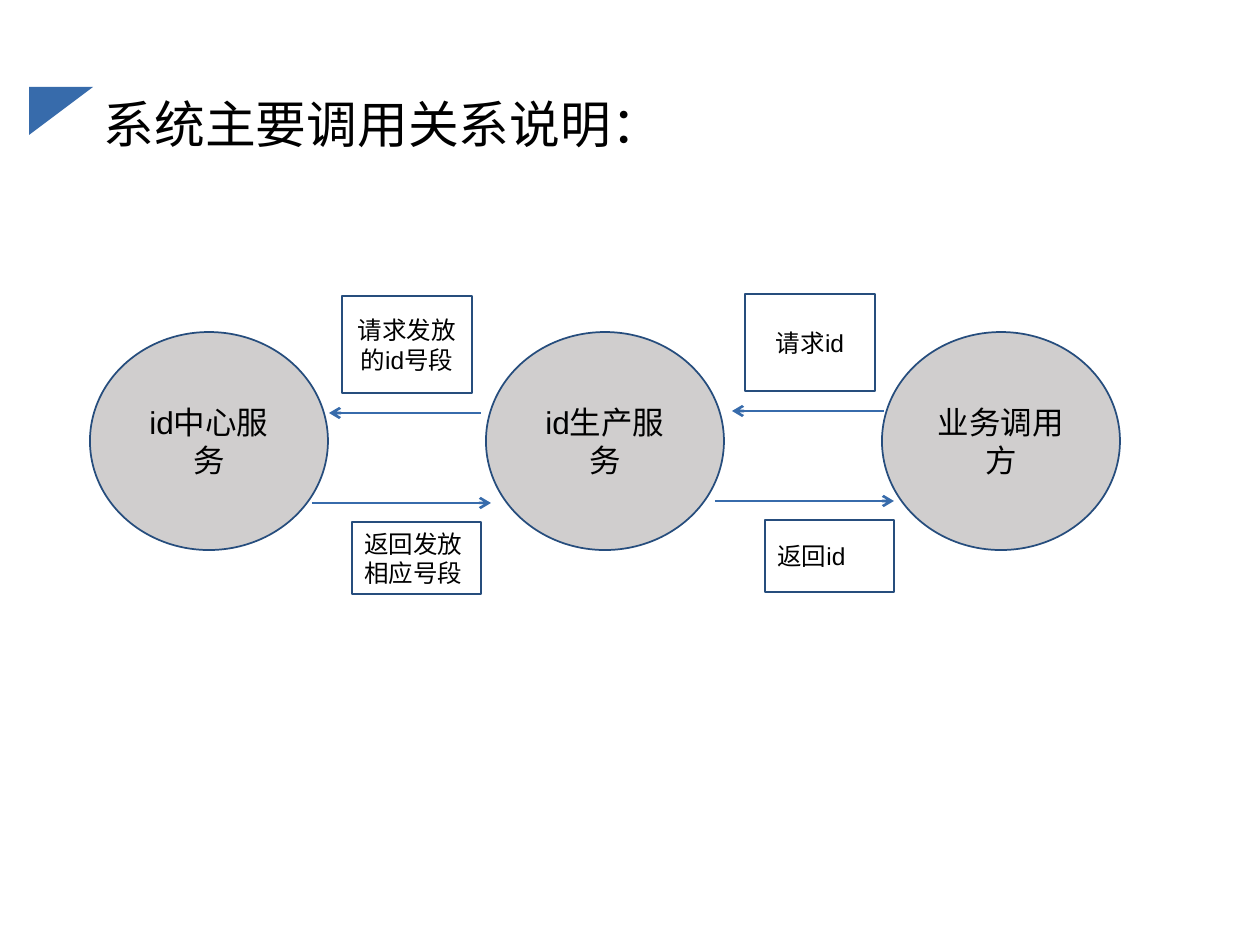
import pptx
import pptx.util
import pptx.dml.color
import pptx.enum.shapes
import pptx.enum.text
import pptx.oxml
import pptx.oxml.ns

PX = 914400 / 126
SHAPE = pptx.enum.shapes.MSO_SHAPE
ALIGN = pptx.enum.text.PP_ALIGN

THEME = {
    "accent": "376BAB", "outline": "264D7D", "node": "D0CECE",
    "box": "FFFFFF", "text": "000000",
    "latin": "Arial", "cjk": "Noto Sans CJK SC",
    "title_size": 29, "node_size": 18, "label_size": 14,
    "outline_width": 1, "arrow_width": 1.5,
}

TITLE = "系统主要调用关系说明："
TITLE_BOX = (91, 66, 791, 103)
CORNER_BOX = (37, 79, 48, 64)

NODES = ["id中心服务", "id生产服务", "业务调用方"]
NODE_LEFT, NODE_TOP, NODE_W, NODE_H = 90, 332, 238, 218
NODE_STEP = 396

# One entry per pair of neighbouring nodes: label text and label left/top.
CALLS = [
    {"request": ("请求发放的id号段", 342, 296), "reply": ("返回发放相应号段", 352, 522)},
    {"request": ("请求id", 745, 294), "reply": ("返回id", 765, 520)},
]
CALL_STEP, CALL_RISE = 403, -2
# Kind of call: arrow start x, end x and y for the first pair; label size and alignment.
KINDS = {
    "request": ((481, 329, 413), (130, 97), ALIGN.CENTER),
    "reply": ((312, 491, 503), (129, 72), ALIGN.LEFT),
}


def px(*values):
    """Turn pixels into EMU."""
    return [pptx.util.Emu(round(v * PX)) for v in values]


def rgb(name):
    """Return a theme colour."""
    return pptx.dml.color.RGBColor.from_string(THEME[name])


def set_text(tf, text, size, align, latin="latin"):
    """Write one formatted paragraph, centred vertically."""
    tf.word_wrap = True
    tf.auto_size = pptx.enum.text.MSO_AUTO_SIZE.NONE
    tf.vertical_anchor = pptx.enum.text.MSO_ANCHOR.MIDDLE
    p = tf.paragraphs[0]
    p.text = text
    p.alignment = align
    p.font.size = pptx.util.Pt(THEME[size])
    p.font.name = THEME[latin]
    p.font.color.rgb = rgb("text")
    props = p._p.get_or_add_pPr().find(pptx.oxml.ns.qn("a:defRPr"))
    ea = pptx.oxml.parse_xml("<a:ea %s/>" % pptx.oxml.ns.nsdecls("a"))
    ea.set("typeface", THEME["cjk"])
    props.append(ea)
    return p


def add_shape(slide, kind, box, fill, outline=None):
    """Add a flat preset shape."""
    sp = slide.shapes.add_shape(kind, *px(*box))
    sp.shadow.inherit = False
    sp.fill.solid()
    sp.fill.fore_color.rgb = rgb(fill)
    if outline:
        sp.line.color.rgb = rgb(outline)
        sp.line.width = pptx.util.Pt(THEME["outline_width"])
    else:
        sp.line.fill.background()
    return sp


def add_arrow(slide, start, end, y):
    """Add a horizontal arrow with an open head."""
    line = slide.shapes.add_connector(
        pptx.enum.shapes.MSO_CONNECTOR.STRAIGHT, *px(start, y, end, y))
    line.line.color.rgb = rgb("accent")
    line.line.width = pptx.util.Pt(THEME["arrow_width"])
    ns = pptx.oxml.ns.nsdecls("a")
    line.line._get_or_add_ln().append(
        pptx.oxml.parse_xml('<a:tailEnd %s type="arrow"/>' % ns))
    line._element.spPr.append(pptx.oxml.parse_xml("<a:effectLst %s/>" % ns))


prs = pptx.Presentation()
prs.slide_width, prs.slide_height = px(1260, 945)
slide = prs.slides.add_slide(prs.slide_layouts[5])

corner = add_shape(slide, SHAPE.RIGHT_TRIANGLE, CORNER_BOX, "accent")
corner.rotation = 90

title = slide.shapes.title
title.left, title.top, title.width, title.height = px(*TITLE_BOX)
p = set_text(title.text_frame, TITLE, "title_size", ALIGN.LEFT, "cjk")
p.line_spacing = 1.2

for i, name in enumerate(NODES):
    box = (NODE_LEFT + i * NODE_STEP, NODE_TOP, NODE_W, NODE_H)
    sp = add_shape(slide, SHAPE.OVAL, box, "node", "outline")
    set_text(sp.text_frame, name, "node_size", ALIGN.CENTER)

for i, call in enumerate(CALLS):
    dx, dy = i * CALL_STEP, i * CALL_RISE
    for kind, (text, left, top) in call.items():
        (start, end, y), size, align = KINDS[kind]
        add_arrow(slide, start + dx, end + dx, y + dy)
        sp = add_shape(slide, SHAPE.RECTANGLE, (left, top, *size), "box", "outline")
        set_text(sp.text_frame, text, "label_size", align)

prs.save("out.pptx")
